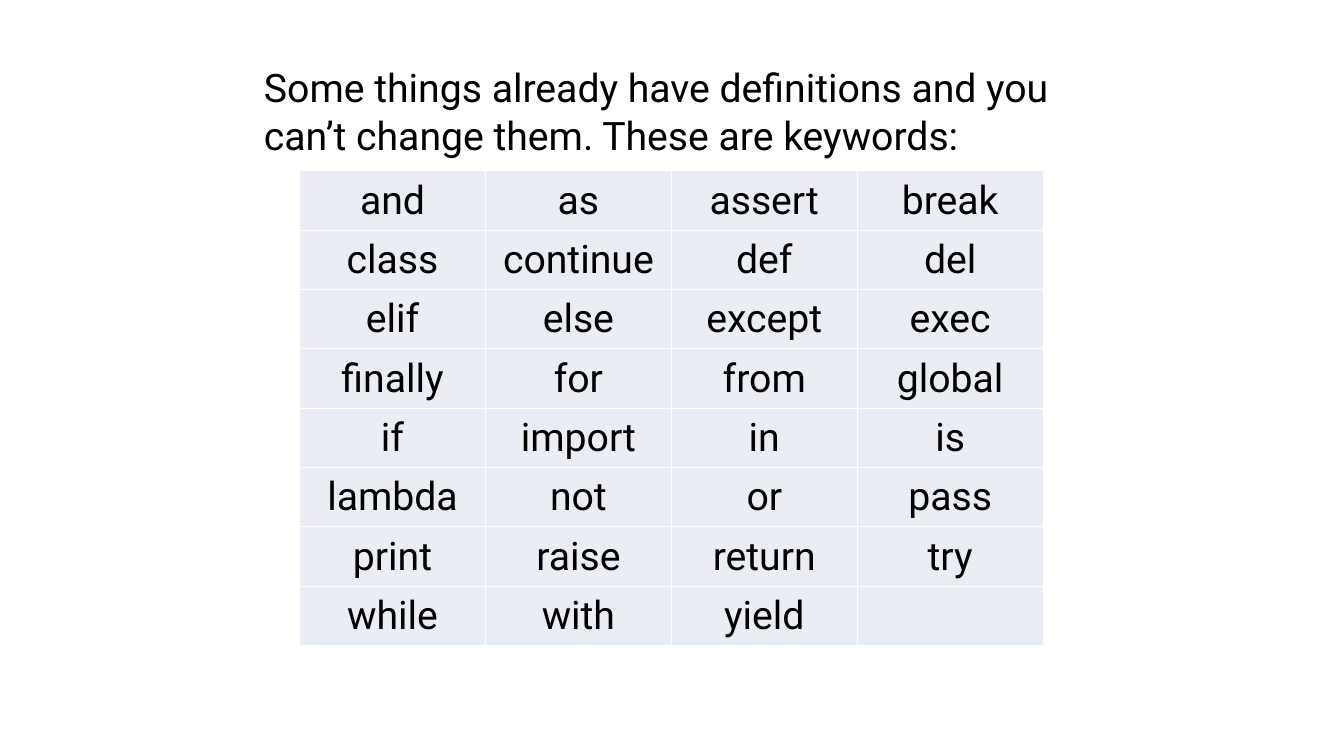
from lxml.etree import SubElement
from pptx import Presentation
from pptx.dml.color import RGBColor
from pptx.enum.text import MSO_ANCHOR as Anchor, MSO_AUTO_SIZE as AutoSize, PP_ALIGN as Align
from pptx.oxml.ns import qn
from pptx.util import Pt

COLORS = {"text": "000000", "cell": "E9EDF4", "border": "FFFFFF"}
KEYWORDS = (
    "and as assert break class continue def del elif else except exec "
    "finally for from global if import in is lambda not or pass "
    "print raise return try while with yield"
).split()
COLUMNS, ROWS = 4, 8
COLUMN_WIDTH, ROW_HEIGHT = 132.8, 42.4


def add_text(paragraph, text):
    run = paragraph.add_run()
    run.text = text
    run.font.name = "Roboto"
    run.font.size = Pt(28)
    run.font.color.rgb = RGBColor.from_string(COLORS["text"])


def add_borders(cell):
    properties = cell._tc.get_or_add_tcPr()
    for side in ("a:lnL", "a:lnR", "a:lnT", "a:lnB"):
        line = SubElement(properties, qn(side), w=str(Pt(1)))
        fill = SubElement(line, qn("a:solidFill"))
        SubElement(fill, qn("a:srgbClr"), val=COLORS["border"])


presentation = Presentation()
presentation.slide_width, presentation.slide_height = Pt(960), Pt(540)
slide = presentation.slides.add_slide(presentation.slide_layouts[6])

# Keyword table
table = slide.shapes.add_table(
    ROWS, COLUMNS, Pt(214), Pt(122),
    Pt(COLUMNS * COLUMN_WIDTH), Pt(ROWS * ROW_HEIGHT),
).table
table.first_row = False
table.horz_banding = False
for column in table.columns:
    column.width = Pt(COLUMN_WIDTH)
for row in table.rows:
    row.height = Pt(ROW_HEIGHT)

for cell in table.iter_cells():
    cell.margin_left = cell.margin_right = cell.margin_top = Pt(0.75)
    cell.margin_bottom = Pt(0)
    cell.vertical_anchor = Anchor.MIDDLE
    add_borders(cell)
    cell.fill.solid()
    cell.fill.fore_color.rgb = RGBColor.from_string(COLORS["cell"])

# Keywords fill the grid row by row; the last cell stays empty
for cell, keyword in zip(table.iter_cells(), KEYWORDS):
    paragraph = cell.text_frame.paragraphs[0]
    paragraph.alignment = Align.CENTER
    add_text(paragraph, keyword)

# Introduction
introduction = slide.shapes.add_textbox(Pt(181.5), Pt(42), Pt(596), Pt(75))
frame = introduction.text_frame
frame.word_wrap = True
frame.auto_size = AutoSize.SHAPE_TO_FIT_TEXT
add_text(
    frame.paragraphs[0],
    "Some things already have definitions and you can’t change them. These are keywords:",
)

presentation.save("out.pptx")
